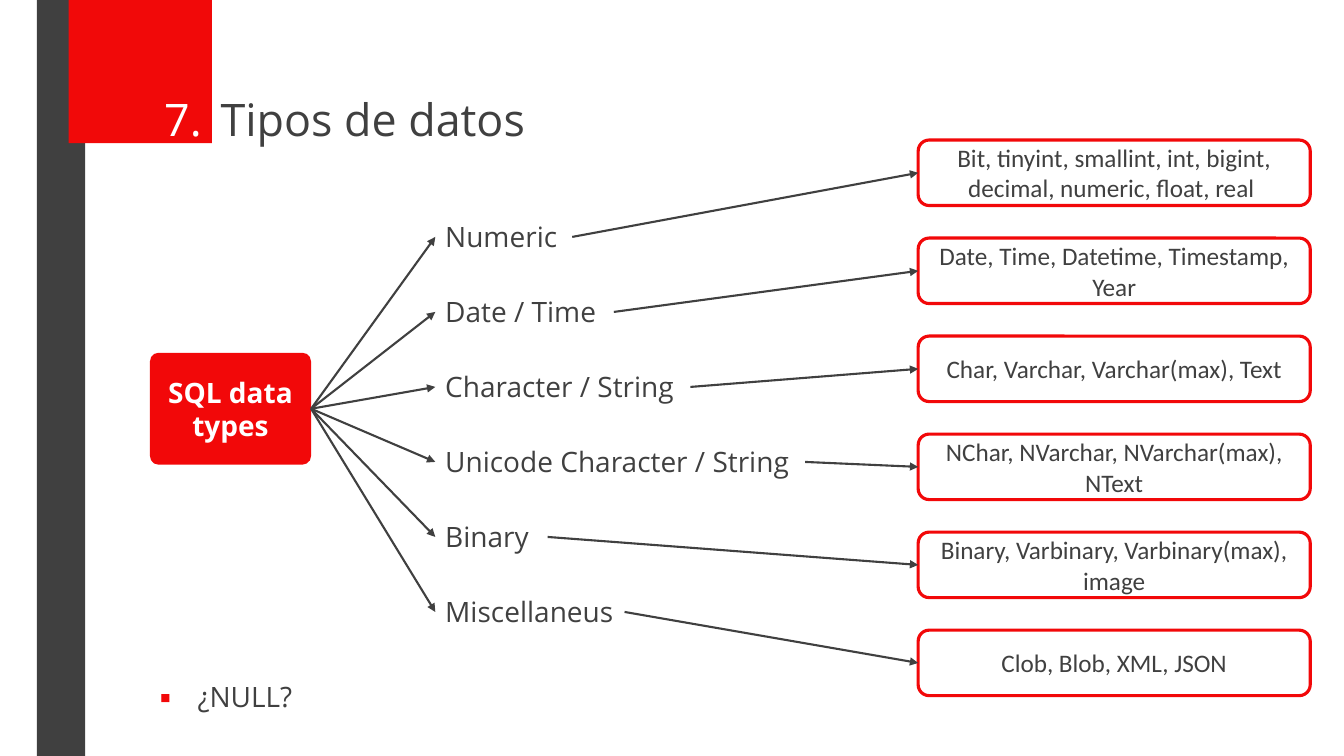
from lxml import etree
from pptx import Presentation
from pptx.dml.color import RGBColor
from pptx.enum import shapes, text
from pptx.oxml import ns
from pptx.util import Cm, Pt

COLOURS = {"dark": "404040", "banner": "F10909", "red": "F20809", "white": "FFFFFF"}
SLIDE_WIDTH, SLIDE_HEIGHT = 33.87, 19.05
ROOT_BOX = (3.78, 8.89, 4.06, 2.82)
LABEL_LEFT, LABEL_TOP, LABEL_HEIGHT, LABEL_PITCH = 10.97, 5.41, 1.12, 1.89
EXAMPLES_BOX = (23.14, 3.53, 9.88, 1.65)
EXAMPLES_PITCH = 2.47

# Category, width of its label, example types
CATEGORIES = [
    ("Numeric", 3.45, "Bit, tinyint, smallint, int, bigint, decimal, numeric, float, real "),
    ("Date / Time", 4.5, "Date, Time, Datetime, Timestamp, Year"),
    ("Character / String", 6.43, "Char, Varchar, Varchar(max), Text"),
    ("Unicode Character / String", 9.32, "NChar, NVarchar, NVarchar(max), NText"),
    ("Binary", 2.83, "Binary, Varbinary, Varbinary(max), image"),
    ("Miscellaneus", 4.77, "Clob, Blob, XML, JSON"),
]


def rgb(name):
    return RGBColor.from_string(COLOURS[name])


def add_child(parent, tag, **attributes):
    child = etree.SubElement(parent, ns.qn(tag))
    for key, value in attributes.items():
        child.set(key, str(value))
    return child


def write(shape, words, size=20, font="Open Sans", colour="dark", bold=False,
          centred=False, wrap=True, spacing=None):
    """Fill the shape with one formatted paragraph and return that paragraph."""
    frame = shape.text_frame
    frame.word_wrap = wrap
    paragraph = frame.paragraphs[0]
    paragraph.alignment = text.PP_ALIGN.CENTER if centred else text.PP_ALIGN.LEFT
    if spacing:
        paragraph.line_spacing = spacing
    run = paragraph.add_run()
    run.text = words
    run.font.size = Pt(size)
    run.font.name = font
    run.font.bold = bold
    run.font.color.rgb = rgb(colour)
    return paragraph


def add_bullet(paragraph, indent, colour, tag, font, **attributes):
    properties = paragraph._p.get_or_add_pPr()
    properties.set("marL", str(Cm(indent)))
    properties.set("indent", str(-Cm(indent)))
    add_child(add_child(properties, "a:buClr"), "a:srgbClr", val=COLOURS[colour])
    add_child(properties, "a:buFont", typeface=font)
    add_child(properties, tag, **attributes)


def add_text_box(slide, box, words, **style):
    shape = slide.shapes.add_textbox(*map(Cm, box))
    return write(shape, words, **style)


def add_box(slide, box, fill=None, line=None, rounding=None):
    """Add a rectangle, rounded when a rounding is given."""
    kind = shapes.MSO_SHAPE.RECTANGLE if rounding is None else shapes.MSO_SHAPE.ROUNDED_RECTANGLE
    shape = slide.shapes.add_shape(kind, *map(Cm, box))
    shape.shadow.inherit = False
    if rounding is not None:
        shape.adjustments[0] = rounding
    if fill:
        shape.fill.solid()
        shape.fill.fore_color.rgb = rgb(fill)
    else:
        shape.fill.background()
    if line:
        shape.line.color.rgb = rgb(line)
        shape.line.width = Pt(2.25)
    else:
        shape.line.fill.background()
    shape.text_frame.vertical_anchor = text.MSO_ANCHOR.MIDDLE
    return shape


def add_arrow(slide, start, end):
    arrow = slide.shapes.add_connector(shapes.MSO_CONNECTOR.STRAIGHT, *map(Cm, start + end))
    arrow.line.color.rgb = rgb("dark")
    arrow.line.width = Pt(1.5)
    add_child(arrow.line._get_or_add_ln(), "a:tailEnd", type="triangle")
    add_child(arrow._element.spPr, "a:effectLst")


def draw_header(slide, box):
    """Draw the side bar, the red square and the numbered title."""
    left, top, width, height = box
    add_box(slide, (left + 0.93, top, 1.22, height), fill="dark")
    add_box(slide, (left + 1.73, top, 3.61, 3.61), fill="banner")
    title = add_text_box(slide, (left + 3.89, top + 1.5, 20.12, 2.08), "Tipos de datos",
                         size=32, spacing=1.5)
    add_bullet(title, 1.42, "white", "a:buAutoNum", "Open Sans", type="arabicPeriod", startAt=7)


def draw_root(slide, box):
    shape = add_box(slide, box, fill="red", rounding=0.077)
    write(shape, "SQL data types", colour="white", bold=True, centred=True)


def draw_category(slide, label_box, examples_box, name, examples):
    """Draw a label, its box of examples and the arrows that lead to both."""
    left, top, width, height = label_box
    middle = top + height / 2
    add_text_box(slide, label_box, name, wrap=False)
    shape = add_box(slide, examples_box, line="red", rounding=0.167)
    write(shape, examples, size=18, font="Calibri", centred=True)
    root_left, root_top, root_width, root_height = ROOT_BOX
    add_arrow(slide, (root_left + root_width, root_top + root_height / 2), (left, middle))
    add_arrow(slide, (left + width, middle),
              (examples_box[0], examples_box[1] + examples_box[3] / 2))


def draw_note(slide, box):
    note = add_text_box(slide, box, "¿NULL?", wrap=False)
    add_bullet(note, 0.95, "red", "a:buChar", "Open Sans", char="▪")


def main():
    presentation = Presentation()
    presentation.slide_width = Cm(SLIDE_WIDTH)
    presentation.slide_height = Cm(SLIDE_HEIGHT)
    slide = presentation.slides.add_slide(presentation.slide_layouts[6])
    draw_header(slide, (0, 0, SLIDE_WIDTH, SLIDE_HEIGHT))
    draw_note(slide, (3.78, 16.99, 4.72, 1.12))
    draw_root(slide, ROOT_BOX)
    left, top, width, height = EXAMPLES_BOX
    for row, (name, label_width, examples) in enumerate(CATEGORIES):
        label_box = (LABEL_LEFT, LABEL_TOP + row * LABEL_PITCH, label_width, LABEL_HEIGHT)
        examples_box = (left, top + row * EXAMPLES_PITCH, width, height)
        draw_category(slide, label_box, examples_box, name, examples)
    presentation.save("out.pptx")


if __name__ == "__main__":
    main()
